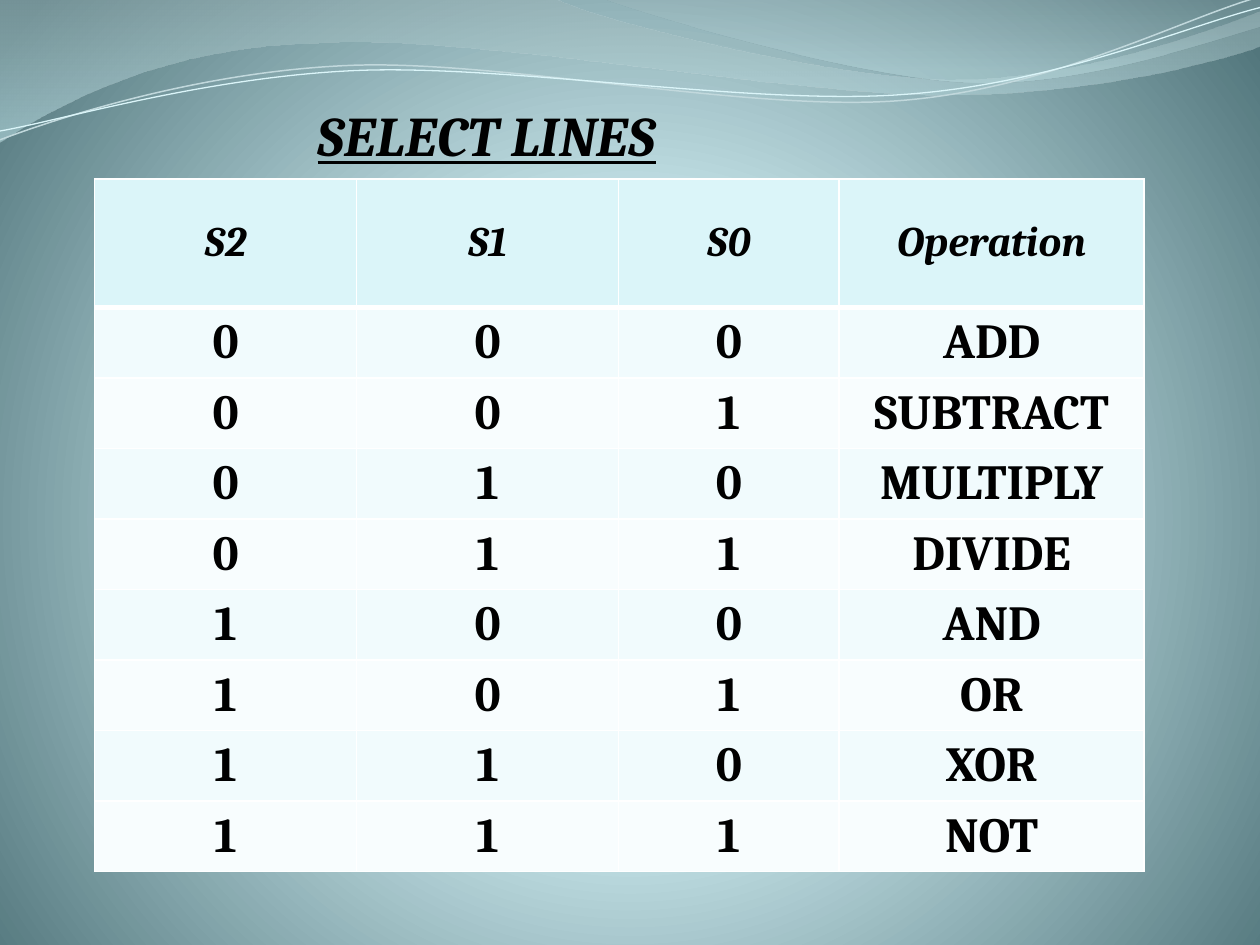
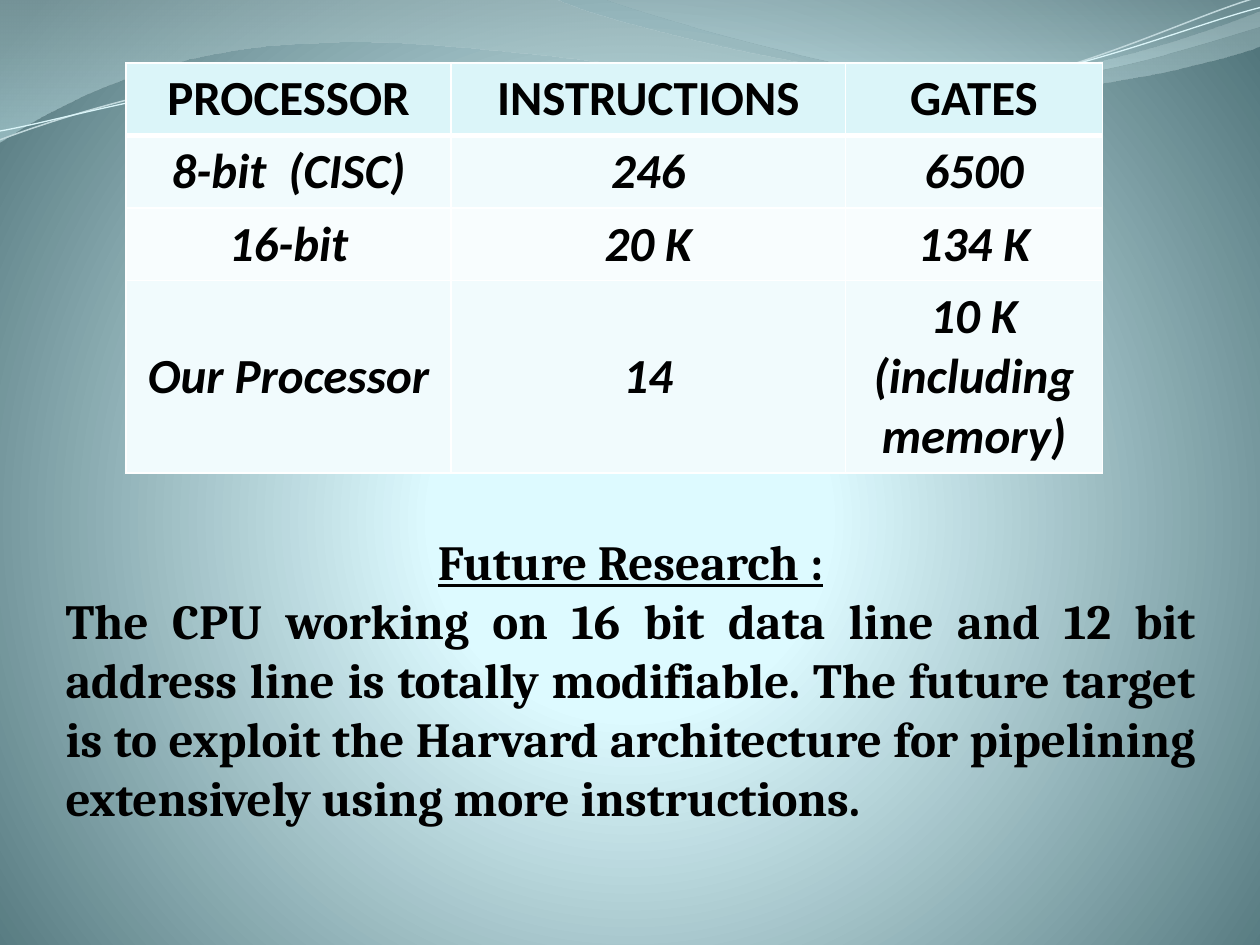
from lxml import etree
from pptx import Presentation
from pptx.dml.color import RGBColor
from pptx.enum.text import MSO_ANCHOR, MSO_AUTO_SIZE, PP_ALIGN
from pptx.oxml.ns import qn
from pptx.util import Inches, Pt

LEFT, CENTER, JUSTIFY = PP_ALIGN.LEFT, PP_ALIGN.CENTER, PP_ALIGN.JUSTIFY
TOP, MIDDLE = MSO_ANCHOR.TOP, MSO_ANCHOR.MIDDLE
NO_AUTOSIZE = MSO_AUTO_SIZE.NONE
TITLE_AND_BODY, TITLE_ONLY = 1, 5

COLORS = {
    "text": "000000", "border": "FFFFFF",
    "header": "DBF5F9", "odd_row": "F1FBFD", "even_row": "F8FDFE",
    "glow": "DEFBFF", "glow_edge": "DDFAFF", "deep": "52767C",
    "wave_top": "A0B7BA", "wave_bottom": "BFE4E9",
    "crest_top": "9FB8BC", "crest_bottom": "BCDCE1",
    "dim_line": "C1D8DC", "bright_line": "DBF5F9",
}
SERIF, SANS = "Cambria", "Calibri"

# Wave outlines in inches: a start, then line ends (x, y) or Bezier triples
WAVE = [(0, 0), (4.4, -0.01),
        (4.76, 0.17, 6.64, 0.63, 7.58, 0.63), (8.53, 0.63, 9.58, 0.26, 10, 0.09),
        (10.01, 0.36),
        (9.83, 0.44, 8.7, 0.76, 7.46, 0.75), (6.22, 0.75, 3.82, 0.28, 2.57, 0.34),
        (1.29, 0.36, 0.46, 0.83, -0.01, 1.13)]
CREST = [(4.79, -0.01),
         (5.09, 0.11, 6.82, 0.62, 7.69, 0.65), (8.56, 0.69, 9.61, 0.32, 10, 0.21),
         (10, 0)]
DIM_LINE = [(0, 1.11), (0.48, 0.93, 1.58, 0.57, 2.77, 0.52),
            (3.95, 0.47, 5.93, 0.89, 7.13, 0.8), (8.33, 0.71, 9.38, 0.15, 9.98, -0.02)]
BRIGHT_LINE = [(0, 1.04), (0.47, 0.96, 1.64, 0.61, 2.83, 0.56),
               (4.03, 0.51, 5.97, 0.84, 7.17, 0.75), (8.36, 0.67, 9.41, 0.21, 10, 0.06)]


def rgb(name):
    return RGBColor.from_string(COLORS[name])


def add_child(parent, tag, **attributes):
    return etree.SubElement(parent, qn(tag), {k: str(v) for k, v in attributes.items()})


def set_gradient(owner, fill, stops, circle=None):
    """Stops are (percent, colour, opacity); circle is the focus as l, t, r, b."""
    fill.gradient()
    gradient = owner.element.find(".//" + qn("a:gradFill"))
    for child in list(gradient):
        gradient.remove(child)
    stop_list = add_child(gradient, "a:gsLst")
    for position, color, opacity in stops:
        stop = add_child(stop_list, "a:gs", pos=position * 1000)
        value = add_child(stop, "a:srgbClr", val=COLORS[color])
        if opacity < 100:
            add_child(value, "a:alpha", val=opacity * 1000)
    if circle:
        focus = add_child(gradient, "a:path", path="circle")
        add_child(focus, "a:fillToRect",
                  **{side: percent * 1000 for side, percent in zip("ltrb", circle)})
    else:
        add_child(gradient, "a:lin", ang=90 * 60000, scaled=1)


def add_outline(slide, outline, close):
    """Build a freeform from all its points, then join Bezier triples into curves."""
    points = [(Inches(segment[i]), Inches(segment[i + 1]))
              for segment in outline for i in range(0, len(segment), 2)]
    builder = slide.shapes.build_freeform(*points[0])
    builder.add_line_segments(points[1:], close=close)
    shape = builder.convert_to_shape()
    shape.shadow.inherit = False

    steps = iter(shape.element.findall(".//" + qn("a:lnTo")))
    for segment in outline[1:]:
        first = next(steps)
        if len(segment) == 6:
            curve = etree.Element(qn("a:cubicBezTo"))
            first.addprevious(curve)
            for step in (first, next(steps), next(steps)):
                curve.append(step[0])
                step.getparent().remove(step)
    return shape


def decorate_master(master, slide):
    """Draw the background and waves, and keep them on the master."""
    set_gradient(master, master.background.fill,
                 [(0, "glow", 100), (25, "glow_edge", 100), (100, "deep", 100)],
                 circle=(10, 110, 10, 100))
    parts = []
    for outline, stops in (
            (WAVE, [(0, "wave_top", 45), (100, "wave_bottom", 55)]),
            (CREST, [(0, "crest_top", 30), (80, "crest_bottom", 45)])):
        band = add_outline(slide, outline, close=True)
        set_gradient(band, band.fill, stops)
        band.line.fill.background()
        parts.append(band)
    for outline, color, width in ((DIM_LINE, "dim_line", 0.85),
                                  (BRIGHT_LINE, "bright_line", 0.75)):
        stroke = add_outline(slide, outline, close=False)
        stroke.fill.background()
        stroke.line.color.rgb = rgb(color)
        stroke.line.width = Pt(width)
        parts.append(stroke)
    for part in parts:
        master.shapes.element.append(part.element)


def format_paragraph(paragraph, font, size, align, italic=False, underline=False):
    paragraph.alignment = align
    paragraph.font.name = font
    paragraph.font.size = Pt(size)
    paragraph.font.bold = True
    paragraph.font.italic = italic
    paragraph.font.underline = underline
    paragraph.font.color.rgb = rgb("text")


def fill_placeholder(placeholder, box, size, paragraphs, wrap=True):
    """Paragraphs are (text, style) pairs."""
    placeholder.left, placeholder.top, placeholder.width, placeholder.height = map(Inches, box)
    frame = placeholder.text_frame
    frame.text = "\n".join(text for text, _ in paragraphs)
    frame.word_wrap = wrap
    frame.auto_size = NO_AUTOSIZE
    frame.vertical_anchor = TOP
    for paragraph, (_, style) in zip(frame.paragraphs, paragraphs):
        paragraph.space_before = Pt(0)
        properties = paragraph._p.get_or_add_pPr()
        properties.set("marL", "0")
        properties.set("indent", "0")
        add_child(properties, "a:buNone")
        format_paragraph(paragraph, SERIF, size, **style)


def set_borders(cell, top, bottom):
    properties = cell._tc.get_or_add_tcPr()
    for tag, width in (("a:lnL", 1), ("a:lnR", 1), ("a:lnT", top), ("a:lnB", bottom)):
        line = add_child(properties, tag, w=Pt(width))
        add_child(add_child(line, "a:solidFill"), "a:srgbClr", val=COLORS["border"])


def add_banded_table(slide, left, top, widths, heights, rows, header_style, body_style):
    frame = slide.shapes.add_table(len(rows), len(widths), Inches(left), Inches(top),
                                   Inches(sum(widths)), Inches(sum(heights)))
    table = frame.table
    table.first_row = table.horz_banding = False
    for column, width in zip(table.columns, widths):
        column.width = Inches(width)
    for row, height in zip(table.rows, heights):
        row.height = Inches(height)
    for r, values in enumerate(rows):
        band = "header" if r == 0 else "odd_row" if r % 2 else "even_row"
        for c, value in enumerate(values):
            cell = table.cell(r, c)
            set_borders(cell, top=3 if r == 1 else 1, bottom=3 if r == 0 else 1)
            cell.fill.solid()
            cell.fill.fore_color.rgb = rgb(band)
            cell.vertical_anchor = MIDDLE
            cell.text = value
            format_paragraph(cell.text_frame.paragraphs[0], align=CENTER,
                             **(body_style if r else header_style))


def build_select_lines(slide):
    operations = ["ADD", "SUBTRACT", "MULTIPLY", "DIVIDE", "AND", "OR", "XOR", "NOT"]
    rows = [["S2", "S1", "S0", "Operation"]]
    rows += [[*format(code, "03b"), name] for code, name in enumerate(operations)]
    add_banded_table(slide, 0.75, 1.42, [2.08, 2.08, 1.75, 2.42],
                     [1.02] + [0.56] * len(operations), rows,
                     {"font": SERIF, "size": 24, "italic": True},
                     {"font": SERIF, "size": 28})
    fill_placeholder(slide.shapes.title, (2.42, 0.75, 3.17, 0.64), 32,
                     [("SELECT LINES", {"align": LEFT, "italic": True, "underline": True})],
                     wrap=False)


def build_comparison(slide):
    rows = [["PROCESSOR", "INSTRUCTIONS", "GATES"],
            ["8-bit  (CISC)", "246", "6500"],
            ["16-bit", "20 K", "134 K"],
            ["Our Processor", "14", "10 K (including memory)"]]
    add_banded_table(slide, 1, 0.5, [2.58, 3.13, 2.04], [0.57] * 3 + [1.49], rows,
                     {"font": SANS, "size": 28},
                     {"font": SANS, "size": 28, "italic": True})
    # The heading is the first paragraph of the body, so no title is needed
    title = slide.shapes.title.element
    title.getparent().remove(title)
    fill_placeholder(slide.placeholders[1], (0.42, 4.17, 9.17, 2.46), 28, [
        ("Future Research :", {"align": CENTER, "underline": True}),
        ("The CPU working on 16 bit data line and 12 bit address line is "
         "totally modifiable. The future target is to exploit the Harvard "
         "architecture for pipelining extensively using more instructions.",
         {"align": JUSTIFY}),
    ])


def main():
    prs = Presentation()
    prs.slide_width, prs.slide_height = Inches(10), Inches(7.5)
    select_lines = prs.slides.add_slide(prs.slide_layouts[TITLE_ONLY])
    decorate_master(prs.slide_master, select_lines)
    build_select_lines(select_lines)
    build_comparison(prs.slides.add_slide(prs.slide_layouts[TITLE_AND_BODY]))
    prs.save("out.pptx")


if __name__ == "__main__":
    main()
